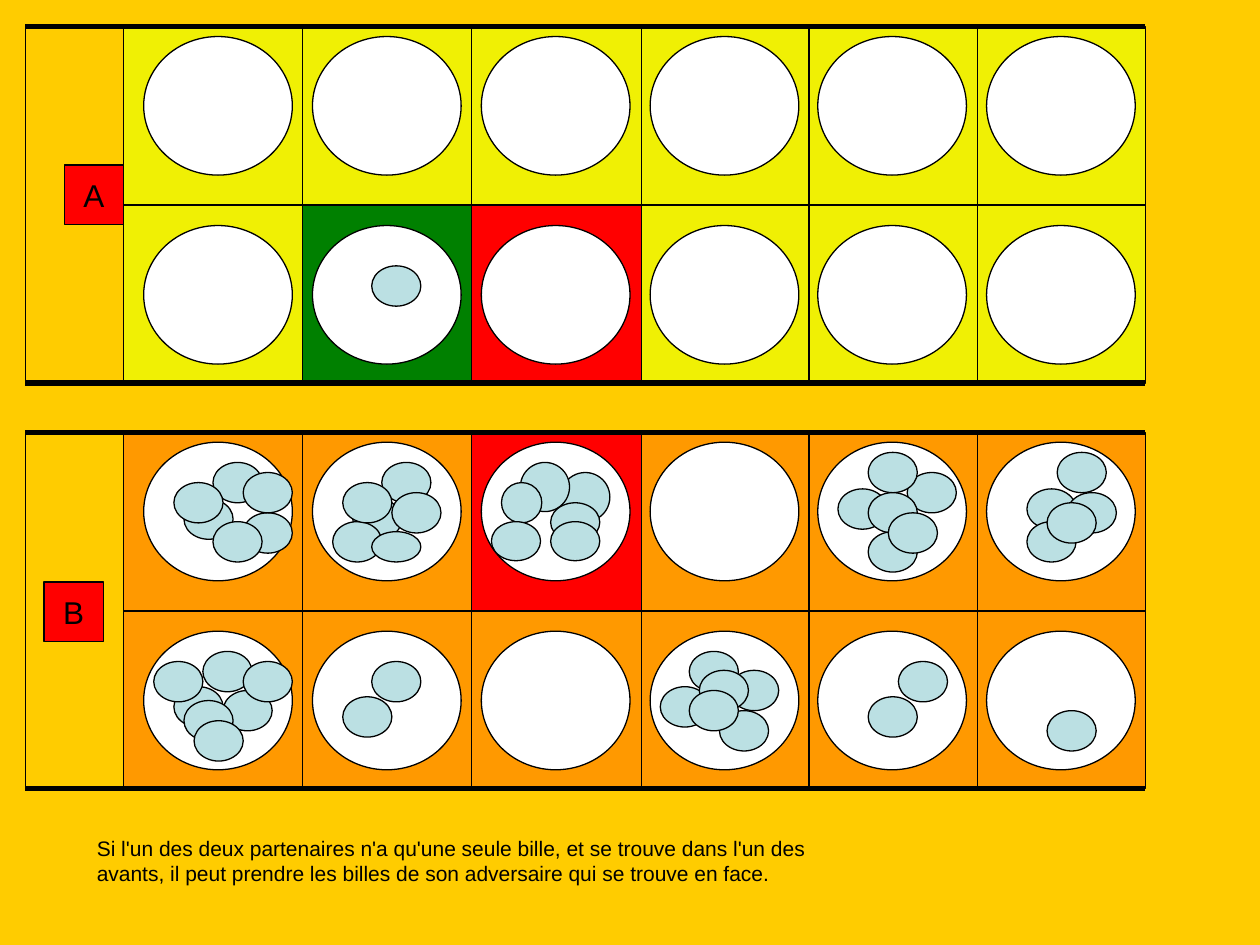
from lxml import etree
from pptx import Presentation
from pptx.dml.color import RGBColor
from pptx.enum.shapes import MSO_CONNECTOR, MSO_SHAPE
from pptx.enum.text import MSO_ANCHOR, PP_ALIGN
from pptx.oxml.ns import qn
from pptx.util import Pt

RECT, OVAL = MSO_SHAPE.RECTANGLE, MSO_SHAPE.OVAL
STRAIGHT = MSO_CONNECTOR.STRAIGHT
MIDDLE, CENTER = MSO_ANCHOR.MIDDLE, PP_ALIGN.CENTER
PX = 9144

COLORS = {
    "back": "FFCC00", "black": "000000", "white": "FFFFFF", "red": "FF0000",
    "green": "008000", "yellow": "F0F004", "orange": "FF9900", "marble": "BBE0E3",
}
WIDE, TALL = 889, 283
COLS = [78, 220, 354, 489, 622, 756, WIDE]
ROWS = [0, 142, TALL]
PIT_COLS = [94, 228, 362, 496, 629, 763]
PIT_ROWS = [8, 158]
PIT_SIZE = (118, 110)
MARBLE_SIZE = (39, 32)
LABEL_SIZE = (47, 47)

BOARDS = [
    {
        "box": (20, 21, WIDE, TALL), "fill": "yellow",
        "marks": {(1, 1): "green", (1, 2): "red"},
        "label": ("A", 31, 110),
        "marbles": {(1, 1): [(47, 32)]},
    },
    {
        "box": (20, 343, WIDE, TALL), "fill": "orange",
        "marks": {(0, 2): "red"},
        "label": ("B", 15, 119),
        "marbles": {
            (0, 0): [(55, 16), (32, 45), (79, 56), (79, 24), (24, 32), (55, 63)],
            (0, 1): [(55, 16), (32, 45), (16, 63), (63, 40), (47, 71, 39, 24), (24, 32)],
            (0, 2): [(63, 24, 39, 39), (31, 16, 39, 39), (55, 48, 39, 31),
                     (55, 63, 39, 31), (16, 32, 32, 32), (8, 63, 39, 31)],
            (0, 4): [(71, 24), (40, 8), (16, 37), (40, 40), (40, 71), (56, 56)],
            (0, 5): [(56, 8), (32, 37), (64, 40), (32, 63), (48, 48)],
            (1, 0): [(47, 16), (24, 44), (8, 24), (63, 47), (79, 24), (32, 55), (40, 71)],
            (1, 1): [(47, 24), (24, 52)],
            (1, 3): [(31, 16), (8, 44), (63, 31), (55, 63), (39, 31), (31, 47)],
            (1, 4): [(64, 24), (40, 52)],
            (1, 5): [(48, 63)],
        },
    },
]
RULE = ("Si l'un des deux partenaires n'a qu'une seule bille, et se trouve dans l'un des "
        "avants, il peut prendre les billes de son adversaire qui se trouve en face.")


def rgb(name):
    return RGBColor.from_string(COLORS[name])


def scale(*sizes):
    return [size * PX for size in sizes]


def add_form(slide, kind, box, fill=None):
    form = slide.shapes.add_shape(kind, *scale(*box))
    form.shadow.inherit = False
    if fill:
        form.fill.solid()
        form.fill.fore_color.rgb = rgb(fill)
    else:
        form.fill.background()
    form.line.color.rgb = rgb("black")
    form.line.width = Pt(0.75)
    return form


def add_line(slide, left, right, y, weight):
    line = slide.shapes.add_connector(STRAIGHT, *scale(left, y, right, y))
    line.line.color.rgb = rgb("black")
    line.line.width = Pt(weight)
    etree.SubElement(line._element.spPr, qn("a:effectLst"))
    return line


def add_run(para, text, size):
    run = para.add_run()
    run.text = text
    run.font.name = "Arial"
    run.font.size = Pt(size)
    run.font.color.rgb = rgb("black")


def add_label(slide, box, text):
    frame = add_form(slide, RECT, box, "red").text_frame
    frame.word_wrap = False
    frame.vertical_anchor = MIDDLE
    para = frame.paragraphs[0]
    para.alignment = CENTER
    add_run(para, text, 18)


def add_grid(slide, box, fill, marks):
    x, y, wide, tall = box
    for row in range(2):
        for col in range(6):
            cell = (x + COLS[col], y + ROWS[row],
                    COLS[col + 1] - COLS[col], ROWS[row + 1] - ROWS[row])
            add_form(slide, RECT, cell, marks.get((row, col), fill))
    panel = add_form(slide, RECT, (x, y, COLS[0], tall))
    for edge in (y, y + tall):
        add_line(slide, x, x + wide, edge, 3)
    middle = add_line(slide, x + COLS[0], x + wide, y + ROWS[1], 1)
    middle.begin_connect(panel, 3)
    middle.end_y = middle.begin_y


def add_pit(slide, box, marbles):
    x, y = box[:2]
    add_form(slide, OVAL, box, "white")
    for dx, dy, *size in marbles:
        add_form(slide, OVAL, (x + dx, y + dy, *(size or MARBLE_SIZE)), "marble")


def add_board(slide, box, fill, marks, label, marbles):
    x, y = box[:2]
    add_grid(slide, box, fill, marks)
    for row, dy in enumerate(PIT_ROWS):
        for col, dx in enumerate(PIT_COLS):
            add_pit(slide, (x + dx, y + dy, *PIT_SIZE), marbles.get((row, col), []))
    text, dx, dy = label
    add_label(slide, (x + dx, y + dy, *LABEL_SIZE), text)


def add_rule(slide, box):
    frame = slide.shapes.add_textbox(*scale(*box)).text_frame
    frame.word_wrap = True
    frame.vertical_anchor = MIDDLE
    add_run(frame.paragraphs[0], RULE, 12)


def main():
    deck = Presentation()
    deck.slide_width, deck.slide_height = scale(1000, 750)
    slide = deck.slides.add_slide(deck.slide_layouts[6])
    slide.background.fill.solid()
    slide.background.fill.fore_color.rgb = rgb("back")
    for board in BOARDS:
        add_board(slide, **board)
    add_rule(slide, (67, 658, 584, 50))
    deck.save("out.pptx")


if __name__ == "__main__":
    main()
